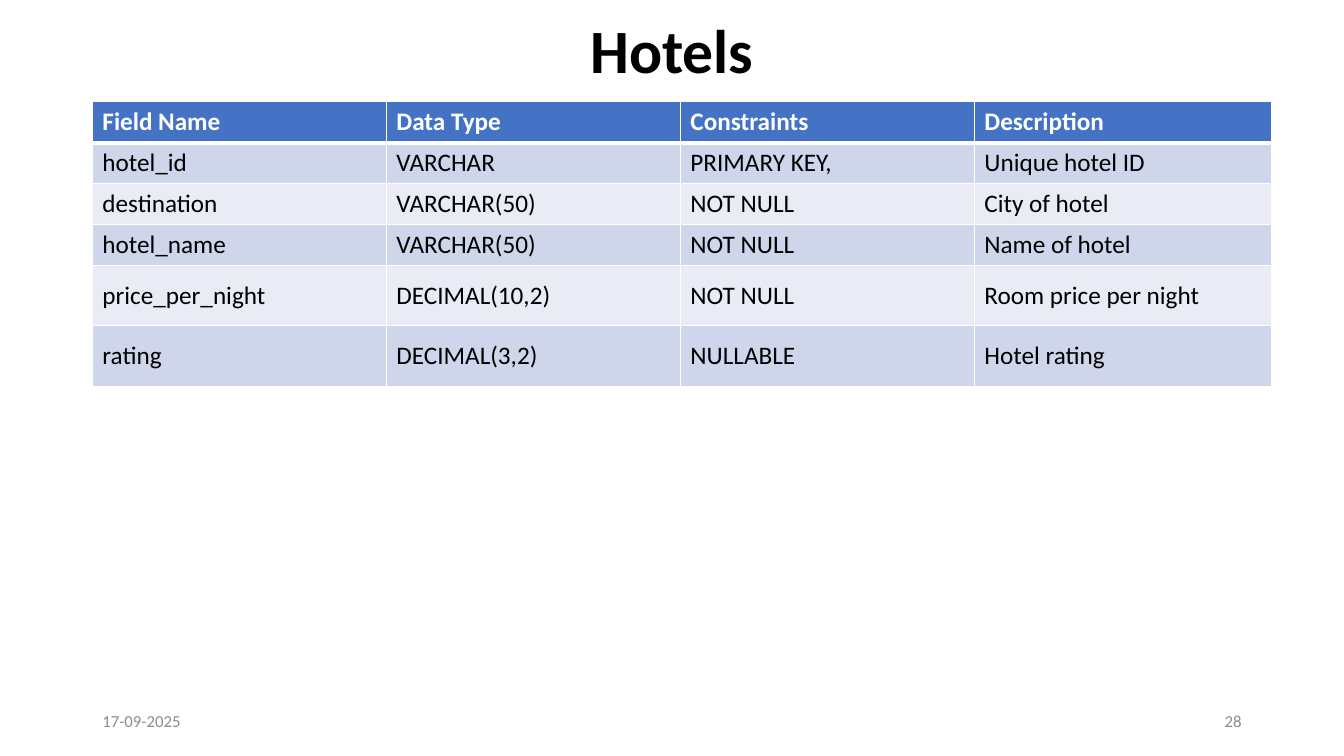
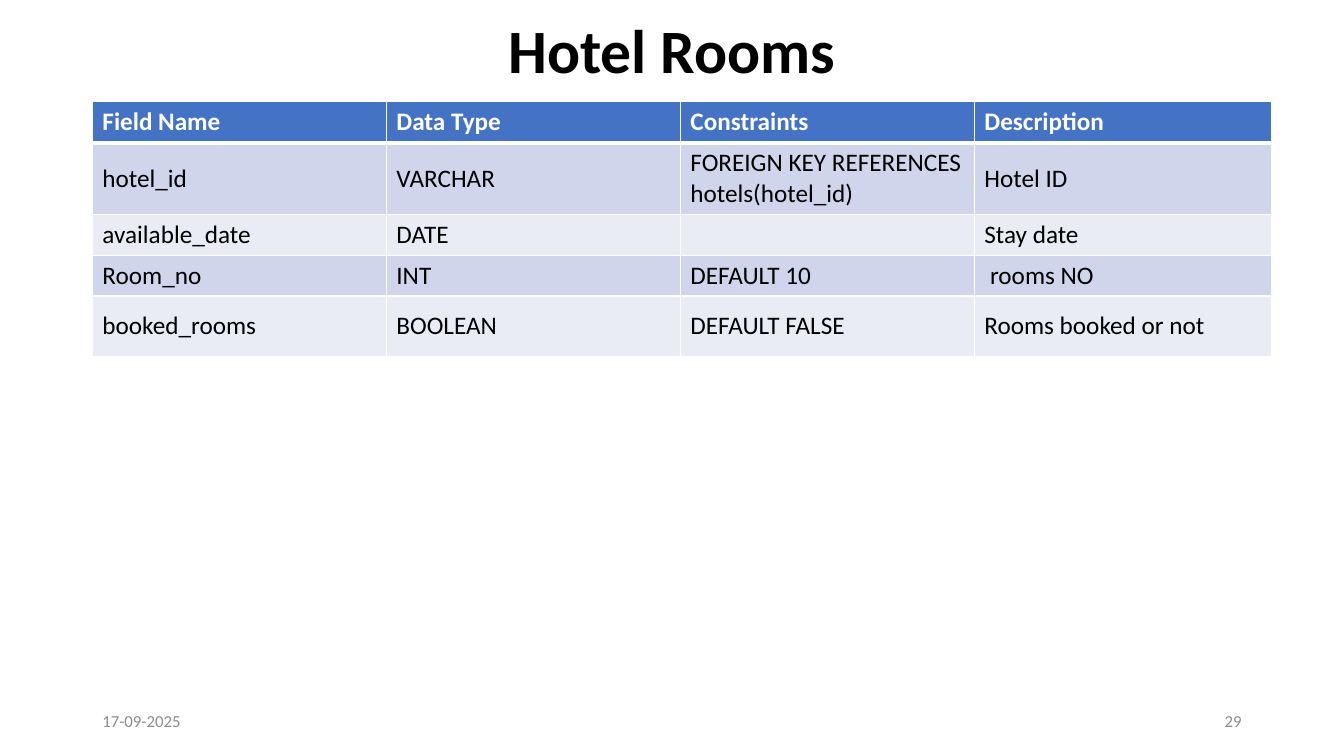
from dataclasses import dataclass

from lxml import etree
from pptx import Presentation
from pptx.dml.color import RGBColor
from pptx.enum.text import MSO_ANCHOR, MSO_AUTO_SIZE, PP_ALIGN
from pptx.oxml.ns import qn
from pptx.util import Pt

LEFT, CENTER, RIGHT = PP_ALIGN.LEFT, PP_ALIGN.CENTER, PP_ALIGN.RIGHT
MIDDLE = MSO_ANCHOR.MIDDLE
NO_AUTOFIT = MSO_AUTO_SIZE.NONE


@dataclass(frozen=True)
class Theme:
    """Colours, font and type sizes of the deck."""
    font: str = "Calibri"
    text: str = "000000"
    inverse: str = "FFFFFF"
    muted: str = "8C8C8C"
    header: str = "4472C4"
    bands: tuple = ("CFD5EA", "E9EBF5")
    title_size: float = 44
    table_size: float = 18
    footer_size: float = 12
    thin: float = 1
    thick: float = 3


THEME = Theme()
SLIDE_W, SLIDE_H = 960, 540
TITLE_BOX = (66, -14, 828, 104.4)
TABLE_POS = (66, 72.7)
FOOTER_BOX = (66, 500.5, 828, 28.8)
FOOTER_PART_W = 216
COL_WIDTHS = (210, 210, 210, 212.6)
LINE_ROW, TWO_LINE_ROW, TALL_ROW = 29.2, 51.2, 43.2
DATE = "17-09-2025"
HEADINGS = ("Field Name", "Data Type", "Constraints", "Description")

SLIDES = [
    ("Hotels", 28, [
        (LINE_ROW, "hotel_id", "VARCHAR", "PRIMARY KEY,", "Unique hotel ID"),
        (LINE_ROW, "destination", "VARCHAR(50)", "NOT NULL", "City of hotel"),
        (LINE_ROW, "hotel_name", "VARCHAR(50)", "NOT NULL", "Name of hotel"),
        (TALL_ROW, "price_per_night", "DECIMAL(10,2)", "NOT NULL", "Room price per night"),
        (TALL_ROW, "rating", "DECIMAL(3,2)", "NULLABLE", "Hotel rating"),
    ]),
    ("Hotel Rooms", 29, [
        (TWO_LINE_ROW, "hotel_id", "VARCHAR", "FOREIGN KEY REFERENCES hotels(hotel_id)", "Hotel ID"),
        (LINE_ROW, "available_date", "DATE", "", "Stay date"),
        (LINE_ROW, "Room_no", "INT", "DEFAULT 10", " rooms NO"),
        (TALL_ROW, "booked_rooms", "BOOLEAN", "DEFAULT FALSE", "Rooms booked or not"),
    ]),
]


def write(tf, text, size, color=THEME.text, bold=False, align=LEFT, spacing=None):
    """Write one formatted paragraph into a text frame."""
    tf.word_wrap = True
    p = tf.paragraphs[0]
    p.alignment = align
    p.line_spacing = spacing
    r = p.add_run()
    r.text = text
    r.font.name = THEME.font
    r.font.size = Pt(size)
    r.font.bold = bold
    r.font.color.rgb = RGBColor.from_string(color)


def set_borders(cell, **widths):
    """Draw cell borders of the given widths, keyed L, R, T and B."""
    tc_pr = cell._tc.get_or_add_tcPr()
    for side, width in widths.items():
        ln = etree.SubElement(tc_pr, qn(f"a:ln{side}"), w=str(Pt(width)))
        fill = etree.SubElement(ln, qn("a:solidFill"))
        etree.SubElement(fill, qn("a:srgbClr"), val=THEME.inverse)


def add_title(s, text, box):
    """Place the slide title in a box."""
    sp = s.shapes.title
    sp.left, sp.top, sp.width, sp.height = map(Pt, box)
    tf = sp.text_frame
    tf.auto_size = NO_AUTOFIT
    tf.vertical_anchor = MIDDLE
    write(tf, text, THEME.title_size, bold=True, align=CENTER, spacing=0.9)


def add_field_table(s, fields, pos):
    """Place a banded table of field definitions at a position."""
    rows = [(LINE_ROW, *HEADINGS), *fields]
    size = sum(COL_WIDTHS), sum(row[0] for row in rows)
    table = s.shapes.add_table(len(rows), len(COL_WIDTHS), *map(Pt, (*pos, *size))).table
    table.horz_banding = False
    for col, width in zip(table.columns, COL_WIDTHS):
        col.width = Pt(width)
    for i, (height, *texts) in enumerate(rows):
        table.rows[i].height = Pt(height)
        is_header = i == 0
        fill = THEME.header if is_header else THEME.bands[(i - 1) % 2]
        color = THEME.inverse if is_header else THEME.text
        top = THEME.thick if i == 1 else THEME.thin
        bottom = THEME.thick if is_header else THEME.thin
        for cell, text in zip(table.rows[i].cells, texts):
            set_borders(cell, L=THEME.thin, R=THEME.thin, T=top, B=bottom)
            cell.fill.solid()
            cell.fill.fore_color.rgb = RGBColor.from_string(fill)
            cell.vertical_anchor = MIDDLE
            write(cell.text_frame, text, THEME.table_size, color=color, bold=is_header)


def add_footer(s, number, box):
    """Place the date and slide number at the two ends of a box."""
    x, y, w, h = box
    parts = ((x, DATE, LEFT), (x + w - FOOTER_PART_W, str(number), RIGHT))
    for left, text, align in parts:
        tf = s.shapes.add_textbox(*map(Pt, (left, y, FOOTER_PART_W, h))).text_frame
        tf.vertical_anchor = MIDDLE
        write(tf, text, THEME.footer_size, color=THEME.muted, align=align)


def add_schema_slide(prs, title, number, fields):
    """Add a slide describing one database table."""
    s = prs.slides.add_slide(prs.slide_layouts.get_by_name("Title Only"))
    add_title(s, title, TITLE_BOX)
    add_field_table(s, fields, TABLE_POS)
    add_footer(s, number, FOOTER_BOX)


def main():
    """Build and save the deck."""
    prs = Presentation()
    prs.slide_width, prs.slide_height = Pt(SLIDE_W), Pt(SLIDE_H)
    for title, number, fields in SLIDES:
        add_schema_slide(prs, title, number, fields)
    prs.save("out.pptx")


if __name__ == "__main__":
    main()
